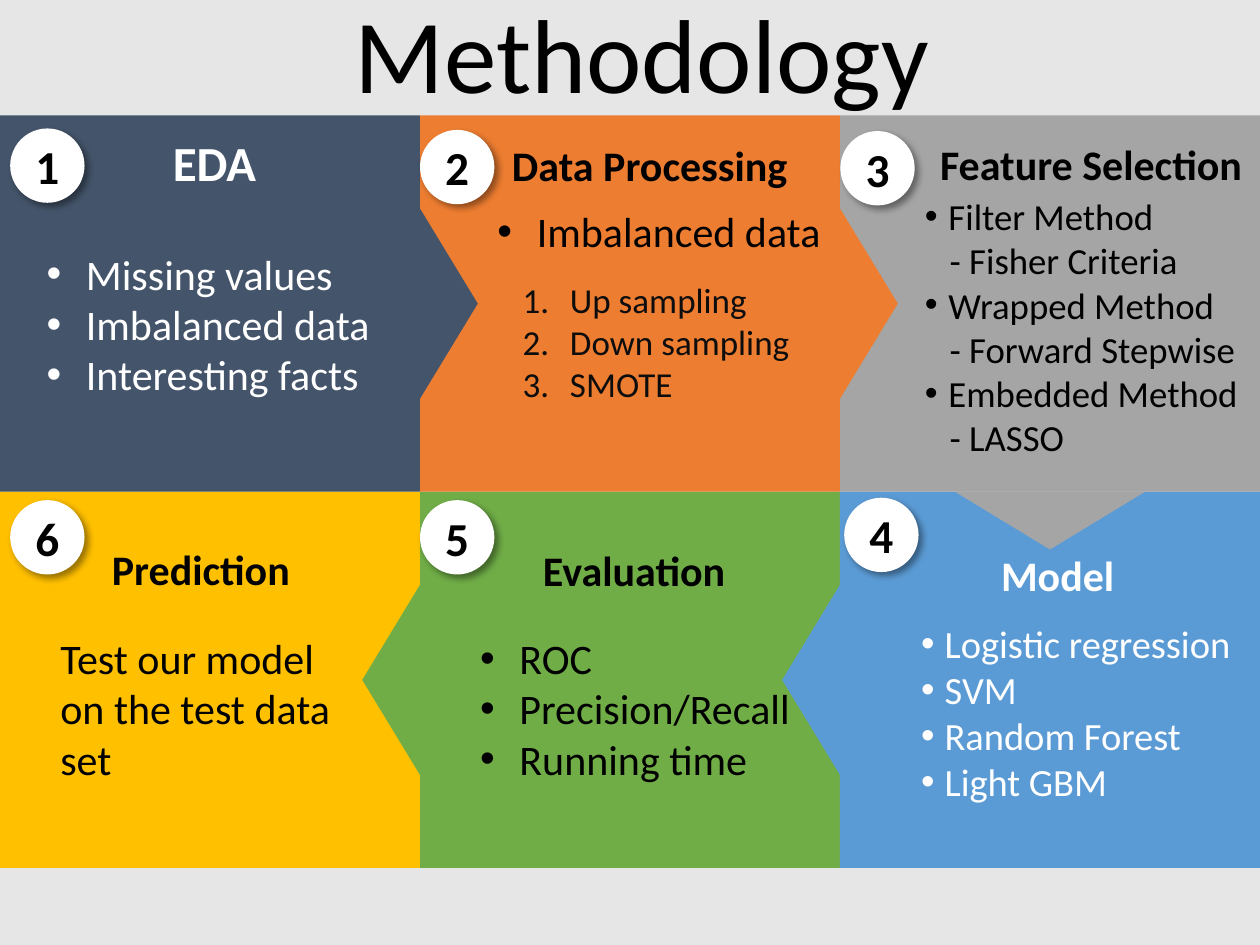
from dataclasses import dataclass

from lxml.etree import SubElement
from pptx import Presentation
from pptx.dml.color import RGBColor
from pptx.enum.shapes import MSO_SHAPE as Shape
from pptx.enum.text import MSO_ANCHOR as Anchor, MSO_AUTO_SIZE as AutoSize, PP_ALIGN as Align
from pptx.oxml.ns import qn
from pptx.util import Pt


@dataclass(frozen=True)
class Theme:
    """Colours, font and type sizes of the slide."""
    font: str = "Calibri"
    background: str = "E7E6E6"
    black: str = "000000"
    soft_black: str = "0D0D0D"
    white: str = "FFFFFF"
    navy: str = "44546A"
    orange: str = "ED7D31"
    grey: str = "A5A5A5"
    blue: str = "5B9BD5"
    green: str = "70AD47"
    yellow: str = "FFC000"
    title: int = 60
    large_heading: int = 28
    heading: int = 24
    badge: int = 27
    body: int = 24
    model_list: int = 22
    feature_list: int = 21
    numbered_list: int = 20


THEME = Theme()
COLUMN, ROW, GRID_TOP = 240, 215, 66
ARROW_BASE, ARROW_DEPTH = 108.6, 33
BADGE = 42.5


@dataclass
class Body:
    """A text block; its box is relative to the panel."""
    box: tuple
    lines: list
    size: int = THEME.body
    color: str = THEME.black
    style: str = "bullet"
    indent: float = 22.5
    placeholder: int = 0


@dataclass
class Step:
    """One numbered panel; boxes are relative to its top left corner."""
    cell: tuple
    color: str
    arrow: str
    badge_at: tuple
    heading: str
    heading_box: tuple
    bodies: list
    heading_size: int = THEME.heading
    heading_color: str = THEME.black
    heading_align: Align = Align.CENTER

    @property
    def origin(self):
        column, row = self.cell
        return column * COLUMN, GRID_TOP + row * ROW


STEPS = [
    Step((0, 0), THEME.navy, "right", (5.8, 7.4), "EDA", (47.5, 19, 150, 28),
         [Body((19.4, 72.2, 204.5, 94.3),
               ["Missing values", "Imbalanced data", "Interesting facts"],
               color=THEME.white, placeholder=1)],
         THEME.large_heading, THEME.white),
    Step((1, 0), THEME.orange, "right", (0, 8.2), "Data Processing", (29.3, 10.3, 180.7, 36),
         [Body((37.2, 47.8, 218.2, 36), ["Imbalanced data"]),
          Body((51.6, 89.5, 202.3, 79.9), ["Up sampling", "Down sampling", "SMOTE"],
               THEME.numbered_list, THEME.soft_black, "number", 27)],
         heading_align=Align.RIGHT),
    Step((2, 0), THEME.grey, "down", (0.2, 8.9), "Feature Selection", (41.3, 9.6, 204.5, 36),
         [Body((41.3, 41.3, 271.4, 181.4),
               ["Filter Method", "- Fisher Criteria", "Wrapped Method",
                "- Forward Stepwise", "Embedded Method", "- LASSO"],
               THEME.feature_list, indent=13.5, placeholder=2)]),
    Step((2, 1), THEME.blue, "left", (2.4, 3.4), "Model", (53.5, 29.3, 141.8, 36),
         [Body((39.1, 69.6, 260.6, 113.8),
               ["Logistic regression", "SVM", "Random Forest", "Light GBM"],
               THEME.model_list, THEME.white, indent=13.5, placeholder=3)],
         heading_color=THEME.white),
    Step((1, 1), THEME.green, "left", (0, 4.8), "Evaluation", (70.3, 26.4, 141.8, 36),
         [Body((27.1, 76.8, 203, 94.3), ["ROC", "Precision/Recall", "Running time"],
               placeholder=4)],
         heading_align=Align.LEFT),
    Step((0, 1), THEME.yellow, "", (5.8, 4.8), "Prediction", (43.9, 25.7, 141.8, 36),
         [Body((27.4, 76.8, 175, 94.3), ["Test our model on the test data set"],
               style="plain")]),
]


def place(shape, box, origin=(0, 0)):
    """Move and size a shape within the region at origin."""
    shape.left, shape.top = Pt(origin[0] + box[0]), Pt(origin[1] + box[1])
    shape.width, shape.height = Pt(box[2]), Pt(box[3])


def add_run(paragraph, text, size, color, bold=False):
    """Add one formatted run."""
    run = paragraph.add_run()
    run.text = text
    font = run.font
    font.name, font.size, font.bold = THEME.font, Pt(size), bold
    font.color.rgb = RGBColor.from_string(color)


def add_solid(slide, kind, box, color, origin=(0, 0)):
    """Add a filled shape with neither outline nor shadow."""
    shape = slide.shapes.add_shape(kind, 0, 0, 0, 0)
    place(shape, box, origin)
    shape.fill.solid()
    shape.fill.fore_color.rgb = RGBColor.from_string(color)
    shape.line.fill.background()
    shape.shadow.inherit = False
    return shape


def add_panel(slide, step):
    """Draw a panel and the arrow that points to the next one."""
    add_solid(slide, Shape.RECTANGLE, (0, 0, COLUMN, ROW), step.color, step.origin)
    if not step.arrow:
        return
    center_x, center_y, rotation = {
        "right": (COLUMN + ARROW_DEPTH / 2, ROW / 2, 90),
        "down": (COLUMN / 2, ROW + ARROW_DEPTH / 2, 180),
        "left": (-ARROW_DEPTH / 2, ROW / 2, 270),
    }[step.arrow]
    box = (center_x - ARROW_BASE / 2, center_y - ARROW_DEPTH / 2, ARROW_BASE, ARROW_DEPTH)
    arrow = add_solid(slide, Shape.ISOSCELES_TRIANGLE, box, step.color, step.origin)
    arrow.rotation = rotation


def add_badge(slide, number, step):
    """Draw the white numbered circle with its soft shadow."""
    badge = add_solid(slide, Shape.OVAL, (*step.badge_at, BADGE, BADGE), THEME.white, step.origin)
    effects = badge.element.spPr.find(qn("a:effectLst"))
    shadow = SubElement(effects, qn("a:outerShdw"), blurRad=str(Pt(4)), dist=str(Pt(3)),
                        dir=str(45 * 60000), algn="tl", rotWithShape="0")
    color = SubElement(shadow, qn("a:srgbClr"), val=THEME.black)
    SubElement(color, qn("a:alpha"), val="40000")
    badge.text_frame.vertical_anchor = Anchor.MIDDLE
    paragraph = badge.text_frame.paragraphs[0]
    paragraph.alignment = Align.CENTER
    add_run(paragraph, str(number), THEME.badge, THEME.black, True)


def add_heading(slide, step):
    """Write the bold heading of a panel."""
    heading = slide.shapes.add_textbox(0, 0, 0, 0)
    place(heading, step.heading_box, step.origin)
    frame = heading.text_frame
    frame.word_wrap, frame.auto_size = True, AutoSize.SHAPE_TO_FIT_TEXT
    frame.vertical_anchor = Anchor.BOTTOM
    frame.margin_left = frame.margin_right = 0
    frame.paragraphs[0].alignment = step.heading_align
    add_run(frame.paragraphs[0], step.heading, step.heading_size, step.heading_color, True)


def set_marker(paragraph, style, indent):
    """Give a paragraph its bullet, number or plain indent."""
    properties = paragraph._p.get_or_add_pPr()
    properties.set("marL", str(Pt(indent)))
    properties.set("indent", str(0 if style == "plain" else -Pt(indent)))
    if style == "plain":
        SubElement(properties, qn("a:buNone"))
    elif style == "number":
        SubElement(properties, qn("a:buFont"), typeface="+mj-lt")
        SubElement(properties, qn("a:buAutoNum"), type="arabicPeriod")
    else:
        SubElement(properties, qn("a:buFont"), typeface="Arial")
        SubElement(properties, qn("a:buChar"), char="•")


def add_body(slide, body, origin):
    """Write a list or plain text, in a body placeholder where one is named."""
    if body.placeholder:
        shape = slide.placeholders[body.placeholder]
        slide.shapes.element.append(shape.element)
    else:
        shape = slide.shapes.add_textbox(0, 0, 0, 0)
    place(shape, body.box, origin)
    frame = shape.text_frame
    frame.word_wrap, frame.auto_size = True, AutoSize.SHAPE_TO_FIT_TEXT
    frame.vertical_anchor = Anchor.TOP
    for index, line in enumerate(body.lines):
        paragraph = frame.add_paragraph() if index else frame.paragraphs[0]
        paragraph.alignment = Align.JUSTIFY if body.style == "number" else Align.LEFT
        paragraph.space_before = Pt(0)
        if line.startswith("- "):
            set_marker(paragraph, "plain", 14.2)
        else:
            set_marker(paragraph, body.style, 0 if body.style == "plain" else body.indent)
        add_run(paragraph, line, body.size, body.color)


def add_title(slide, text, box):
    """Fill the title placeholder."""
    title = slide.shapes.title
    slide.shapes.element.append(title.element)
    place(title, box)
    frame = title.text_frame
    frame.auto_size, frame.vertical_anchor = AutoSize.NONE, Anchor.BOTTOM
    paragraph = frame.paragraphs[0]
    paragraph.alignment, paragraph.line_spacing = Align.CENTER, 0.9
    add_run(paragraph, text, THEME.title, THEME.black)


def build_slide(presentation):
    """Build the methodology slide."""
    slide = presentation.slides.add_slide(presentation.slide_layouts.get_by_name("Comparison"))
    slide.background.fill.solid()
    slide.background.fill.fore_color.rgb = RGBColor.from_string(THEME.background)
    for step in reversed(STEPS):
        add_panel(slide, step)
    add_title(slide, "Methodology", (31.7, 11.5, 670.3, 58.3))
    for number, step in enumerate(STEPS, 1):
        add_heading(slide, step)
        add_badge(slide, number, step)
        for body in step.bodies:
            add_body(slide, body, step.origin)


presentation = Presentation()
presentation.slide_width, presentation.slide_height = Pt(720), Pt(540)
build_slide(presentation)
presentation.save("out.pptx")
